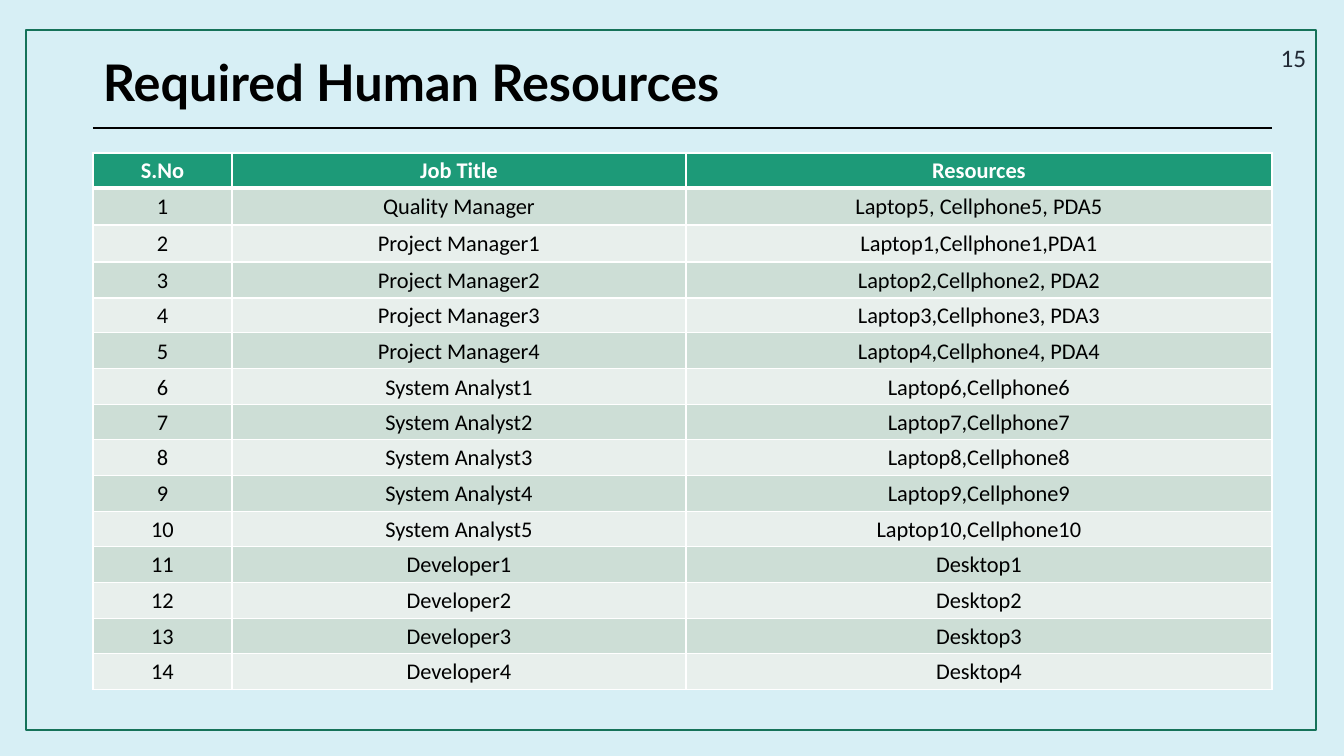
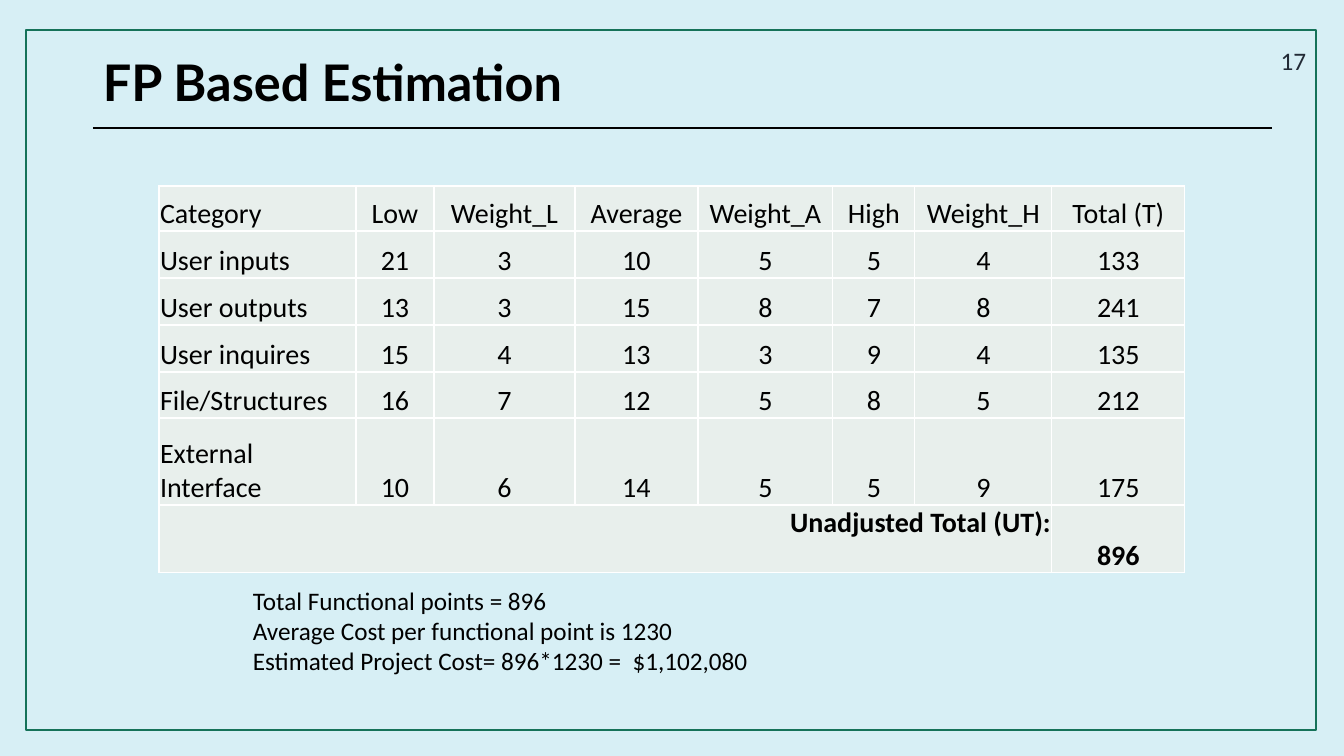
from itertools import pairwise

from lxml import etree
from pptx import Presentation, util as u
from pptx.dml.color import RGBColor
from pptx.enum import shapes, text
from pptx.oxml import ns

WIDE, HIGH = 1344, 756
SCALE = 12192000 / WIDE

SKY = RGBColor(0xD7, 0xEF, 0xF5)
PINE = RGBColor(0x15, 0x72, 0x59)
GREEN = RGBColor(0x1D, 0x9A, 0x78)
SAGE = RGBColor(0xCD, 0xDE, 0xD6)
PALE = RGBColor(0xE8, 0xEF, 0xEC)
SLATE = RGBColor(0x22, 0x2A, 0x35)
BLACK = RGBColor(0, 0, 0)
WHITE = RGBColor(255, 255, 255)

LEFT, CENTER, RIGHT = text.PP_ALIGN.LEFT, text.PP_ALIGN.CENTER, text.PP_ALIGN.RIGHT
TOP, MIDDLE, BOTTOM = text.MSO_ANCHOR.TOP, text.MSO_ANCHOR.MIDDLE, text.MSO_ANCHOR.BOTTOM

TITLE = dict(name="Lato", size=u.Pt(36), bold=True, color=BLACK)
PAGE = dict(name="Calibri", size=u.Pt(18), color=SLATE)
NOTE = dict(PAGE, color=BLACK)
BODY = dict(name="Calibri", size=u.Pt(16), bold=False, color=BLACK)
HEAD = dict(BODY, bold=True, color=WHITE)
LARGE = dict(BODY, size=u.Pt(20))
SUM = dict(LARGE, bold=True)

KIT = {
    "Quality Manager": ["Laptop5, Cellphone5, PDA5"],
    "Project Manager": ["Laptop1,Cellphone1,PDA1"]
    + [f"Laptop{n},Cellphone{n}, PDA{n}" for n in range(2, 5)],
    "System Analyst": [f"Laptop{n},Cellphone{n}" for n in range(6, 11)],
    "Developer": [f"Desktop{n}" for n in range(1, 5)],
}
POINTS = [
    ["Category", "Low", "Weight_L", "Average", "Weight_A", "High", "Weight_H", "Total (T)"],
    ["User inputs", 21, 3, 10, 5, 5, 4, 133],
    ["User outputs", 13, 3, 15, 8, 7, 8, 241],
    ["User inquires", 15, 4, 13, 3, 9, 4, 135],
    ["File/Structures", 16, 7, 12, 5, 8, 5, 212],
    ["External Interface", 10, 6, 14, 5, 5, 9, 175],
]
COSTS = [
    "Total Functional points = 896",
    "Average Cost per functional point is 1230",
    "Estimated Project Cost= 896*1230 =  $1,102,080",
]


def px(n):
    return u.Emu(round(n * SCALE))


def box(*sizes):
    return [px(n) for n in sizes]


def split(total, count):
    """Divide a length into whole parts that add up to it."""
    edges = [round(total * i / count) for i in range(count + 1)]
    return [b - a for a, b in pairwise(edges)]


def style(font, form):
    for key, val in form.items():
        if key == "color":
            font.color.rgb = val
        else:
            setattr(font, key, val)


def write(frame, lines, form, align=LEFT):
    for i, line in enumerate(lines):
        para = frame.add_paragraph() if i else frame.paragraphs[0]
        para.alignment = align
        run = para.add_run()
        run.text = str(line)
        style(run.font, form)


def label(slide, at, lines, form, align=LEFT, anchor=MIDDLE):
    frame = slide.shapes.add_textbox(*box(*at)).text_frame
    frame.word_wrap = True
    frame.vertical_anchor = anchor
    write(frame, lines, form, align)


def rule(slide, x1, y, x2):
    line = slide.shapes.add_connector(shapes.MSO_CONNECTOR.STRAIGHT, *box(x1, y, x2, y))
    line.line.color.rgb = BLACK
    line.line.width = u.Pt(1.5)
    etree.SubElement(line._element.spPr, ns.qn("a:effectLst"))


def border(cell, top=1, bottom=1):
    """Draw white edges, with widths in points."""
    props = cell._tc.get_or_add_tcPr()
    for i, (side, width) in enumerate(dict(L=1, R=1, T=top, B=bottom).items()):
        edge = etree.Element(ns.qn(f"a:ln{side}"), w=str(u.Pt(width)))
        fill = etree.SubElement(edge, ns.qn("a:solidFill"))
        etree.SubElement(fill, ns.qn("a:srgbClr"), val=str(WHITE))
        props.insert(i, edge)


def fill(cell, value, form, color, align=CENTER, anchor=MIDDLE):
    cell.margin_left = cell.margin_right = cell.margin_top = px(1)
    cell.margin_bottom = 0
    cell.vertical_anchor = anchor
    cell.fill.solid()
    cell.fill.fore_color.rgb = color
    write(cell.text_frame, [value], form, align)


def grid(slide, x, y, cols, rows):
    table = slide.shapes.add_table(
        len(rows), len(cols), *box(x, y, sum(cols), sum(rows))).table
    table.first_row = table.horz_banding = False
    for col, width in zip(table.columns, cols):
        col.width = px(width)
    for row, height in zip(table.rows, rows):
        row.height = px(height)
    return table


def page(deck, title, number, top):
    """Add a slide with the shared title, rule, frame and page number."""
    slide = deck.slides.add_slide(deck.slide_layouts[6])
    label(slide, (93, 42, 1159, 78), [title], TITLE)
    rule(slide, 93, 128, 1272)
    frame = slide.shapes.add_shape(shapes.MSO_SHAPE.RECTANGLE, *box(26, 30, 1290, 700))
    frame.shadow.inherit = False
    frame.fill.background()
    frame.line.color.rgb = PINE
    frame.line.width = u.Pt(1)
    label(slide, (1014, top, 302, 40), [number], PAGE, RIGHT)
    return slide


def staff(deck):
    slide = page(deck, "Required Human Resources", 15, 37)
    data = []
    for job, kits in KIT.items():
        for n, kit in enumerate(kits, 1):
            data.append([len(data) + 1, f"{job}{n}" if len(kits) > 1 else job, kit])
    data.insert(0, ["S.No", "Job Title", "Resources"])
    table = grid(slide, 93, 153, [139, 454, 586], [35, 37, 37] + split(428, 12))
    for r, row in enumerate(data):
        form = BODY if r else HEAD
        color = (PALE, SAGE)[r % 2] if r else GREEN
        for c, value in enumerate(row):
            cell = table.cell(r, c)
            fill(cell, value, form, color)
            border(cell, top=3 if r == 1 else 1, bottom=1 if r else 3)


def cost(deck):
    slide = page(deck, "FP Based Estimation", 17, 40)
    label(slide, (243, 580, 601, 102), COSTS, NOTE, anchor=TOP)
    table = grid(slide, 159, 186, [197, 78, 141, 123, 135, 82, 137, 133],
                 [45, 47, 47, 47, 46, 87, 68])
    for r, row in enumerate(POINTS):
        for c, value in enumerate(row):
            fill(table.cell(r, c), value, LARGE, PALE, CENTER if c else LEFT, BOTTOM)
    last = len(POINTS)
    table.cell(last, 0).merge(table.cell(last, 6))
    fill(table.cell(last, 0), "Unadjusted Total (UT):", SUM, PALE, RIGHT, TOP)
    fill(table.cell(last, 7), sum(row[-1] for row in POINTS[1:]), SUM, PALE, anchor=BOTTOM)
    for cell in table.iter_cells():
        border(cell)


def main():
    deck = Presentation()
    deck.slide_width, deck.slide_height = box(WIDE, HIGH)
    back = deck.slide_master.background.fill
    back.solid()
    back.fore_color.rgb = SKY
    staff(deck)
    cost(deck)
    deck.save("out.pptx")


if __name__ == "__main__":
    main()
